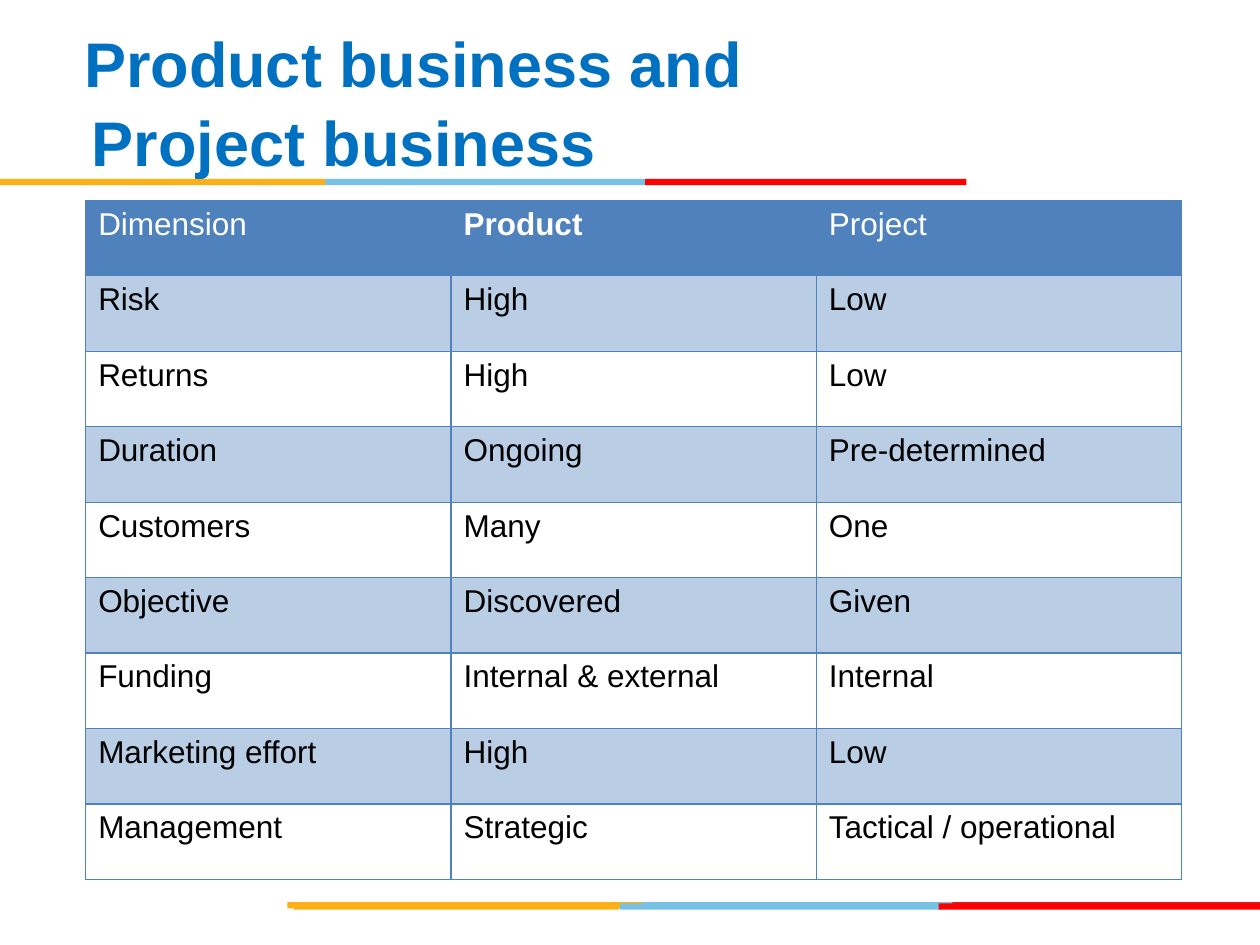
"""Build a slide comparing product business with project business."""
import pptx
import pptx.dml.color
import pptx.enum.shapes
import pptx.enum.text
import pptx.oxml
import pptx.oxml.ns
import pptx.util

Inches = pptx.util.Inches
Pt = pptx.util.Pt
RGBColor = pptx.dml.color.RGBColor

WHITE = RGBColor(0xFF, 0xFF, 0xFF)
BLACK = RGBColor(0, 0, 0)
TITLE_BLUE = RGBColor(0x00, 0x70, 0xC0)
TABLE_BLUE = RGBColor(0x4F, 0x81, 0xBD)
BAND_BLUE = RGBColor(0xB9, 0xCD, 0xE5)
SKY = RGBColor(0x76, 0xC2, 0xE5)
AMBER = RGBColor(0xFC, 0xB0, 0x17)
RED = RGBColor(0xFF, 0x00, 0x00)
DARK_RED = RGBColor(0xE3, 0x1C, 0x24)
FONT = "Arial"

TITLE = "Product business and Project business"
ROWS = [
    ("Dimension", "Product", "Project"),
    ("Risk", "High", "Low"),
    ("Returns", "High", "Low"),
    ("Duration", "Ongoing", "Pre-determined"),
    ("Customers", "Many", "One"),
    ("Objective", "Discovered", "Given"),
    ("Funding", "Internal & external", "Internal"),
    ("Marketing effort", "High", "Low"),
    ("Management", "Strategic", "Tactical / operational"),
]
BOLD_HEADING = "Product"

STRIPE_HEIGHT = 0.05
STRIPES = [
    (7.16, [(5.06, 2.55, SKY), (7.56, 2.44, DARK_RED), (2.28, 2.82, AMBER)]),
    (7.17, [(4.92, 2.55, SKY), (2.33, 2.58, AMBER), (7.45, 2.55, RED)]),
    (1.42, [(2.58, 2.55, SKY), (0, 2.58, AMBER), (5.12, 2.55, RED)]),
]
TABLE_LEFT, TABLE_TOP, TABLE_WIDTH, TABLE_HEIGHT = 0.68, 1.59, 8.7, 5.39


def add_run(paragraph, text, size, color, bold=False):
    run = paragraph.add_run()
    run.text = text
    run.font.name = FONT
    run.font.size = Pt(size)
    run.font.bold = bold
    run.font.color.rgb = color


def add_stripes(slide):
    for top, stripes in STRIPES:
        for left, width, color in stripes:
            stripe = slide.shapes.add_shape(
                pptx.enum.shapes.MSO_SHAPE.RECTANGLE,
                Inches(left), Inches(top), Inches(width), Inches(STRIPE_HEIGHT))
            stripe.shadow.inherit = False
            stripe.fill.solid()
            stripe.fill.fore_color.rgb = color
            stripe.line.fill.background()


def add_title(slide):
    title = slide.shapes.add_textbox(Inches(0.33), Inches(0.17), Inches(6.92), Inches(1.25))
    frame = title.text_frame
    frame.word_wrap = True
    frame.vertical_anchor = pptx.enum.text.MSO_ANCHOR.MIDDLE
    paragraph = frame.paragraphs[0]
    paragraph.line_spacing = 1.04
    properties = paragraph._p.get_or_add_pPr()
    properties.set("marL", str(Inches(0.3)))
    properties.set("indent", str(Inches(-0.06)))
    add_run(paragraph, TITLE, 36, TITLE_BLUE, bold=True)


def add_borders(cell):
    properties = cell._tc.get_or_add_tcPr()
    for position, side in enumerate(("lnL", "lnR", "lnT", "lnB")):
        properties.insert(position, pptx.oxml.parse_xml(
            f'<a:{side} {pptx.oxml.ns.nsdecls("a")} w="{Pt(0.75)}">'
            f'<a:solidFill><a:srgbClr val="{TABLE_BLUE}"/></a:solidFill></a:{side}>'))


def fill_cell(cell, text, row_index):
    is_header = row_index == 0
    if is_header or row_index % 2:
        cell.fill.solid()
        cell.fill.fore_color.rgb = TABLE_BLUE if is_header else BAND_BLUE
    else:
        cell.fill.background()
    add_run(cell.text_frame.paragraphs[0], text, 18,
            WHITE if is_header else BLACK, bold=is_header and text == BOLD_HEADING)
    add_borders(cell)


def add_comparison_table(slide):
    table = slide.shapes.add_table(
        len(ROWS), len(ROWS[0]), Inches(TABLE_LEFT), Inches(TABLE_TOP),
        Inches(TABLE_WIDTH), Inches(TABLE_HEIGHT)).table
    table.first_row = False
    table.horz_banding = False
    for row_index, row in enumerate(ROWS):
        for column_index, text in enumerate(row):
            fill_cell(table.cell(row_index, column_index), text, row_index)


def main():
    presentation = pptx.Presentation()
    presentation.slide_width = Inches(10)
    presentation.slide_height = Inches(7.5)
    slide = presentation.slides.add_slide(presentation.slide_layouts[6])
    add_stripes(slide)
    add_title(slide)
    add_comparison_table(slide)
    presentation.save("out.pptx")


if __name__ == "__main__":
    main()
